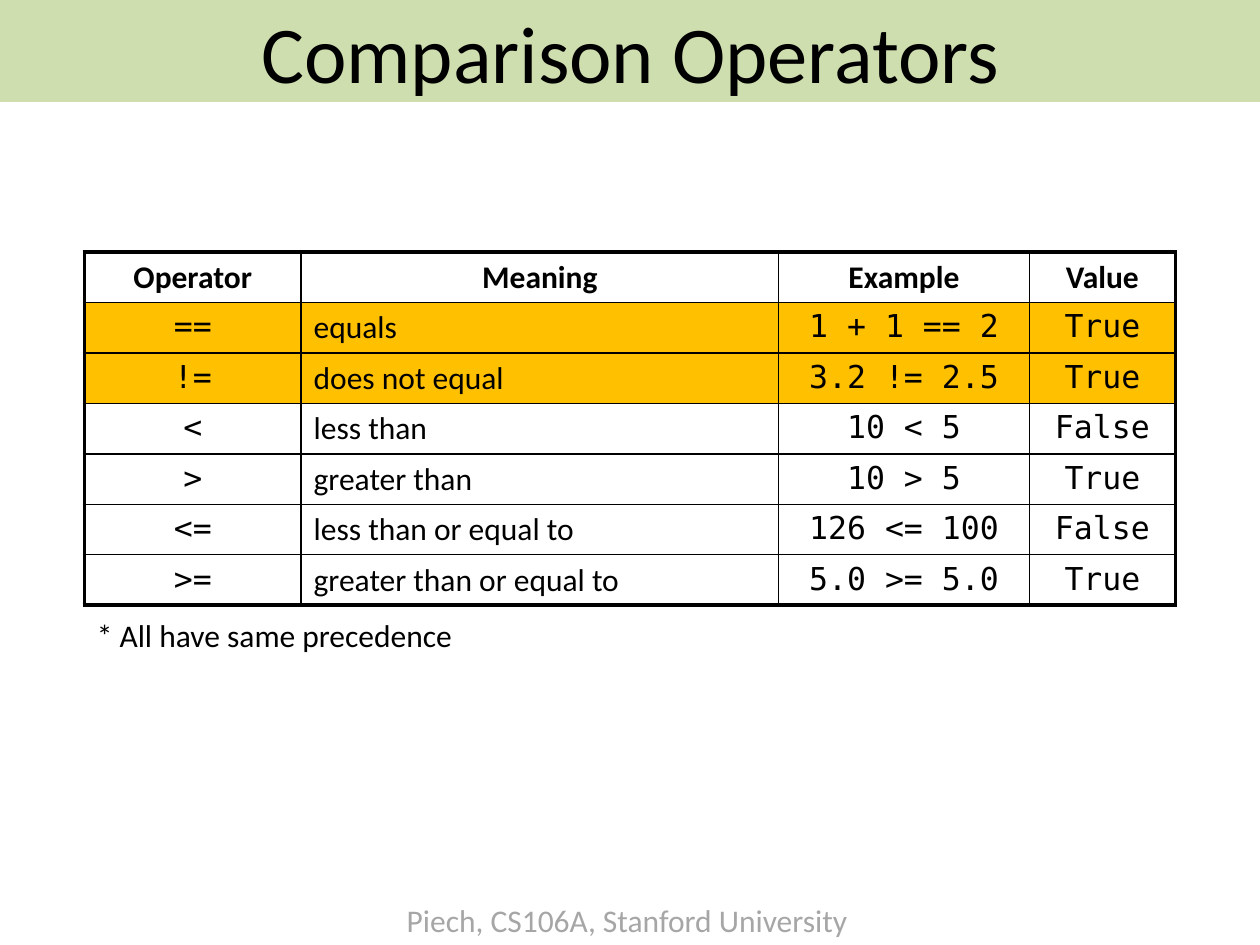
"""Build the slide that lists the comparison operators with examples."""
from dataclasses import astuple, dataclass

import pptx
import pptx.dml.color
import pptx.enum.text
import pptx.oxml
import pptx.oxml.ns
import pptx.slide
import pptx.table
import pptx.text.text
import pptx.util
from pptx.dml.color import RGBColor
from pptx.util import Inches

BLACK = RGBColor(0x00, 0x00, 0x00)
GRAY = RGBColor(0xA6, 0xA6, 0xA6)
AMBER = RGBColor(0xFF, 0xC0, 0x00)
SAGE = RGBColor(0xC3, 0xD6, 0x9B)
BODY_FONT = "Calibri"
CODE_FONT = "DejaVu Sans Mono"
THICK, THIN = 2.25, 1
COLUMN_WIDTHS = (1.72, 3.79, 1.99, 1.16)
ROW_HEIGHT = 0.4
MEANING_COLUMN = 1
CENTER = pptx.enum.text.PP_ALIGN.CENTER
LEFT = pptx.enum.text.PP_ALIGN.LEFT


@dataclass(frozen=True)
class Comparison:
    operator: str
    meaning: str
    example: str
    value: str
    highlighted: bool = False


COMPARISONS = (
    Comparison("==", "equals", "1 + 1 == 2", "True", True),
    Comparison("!=", "does not equal", "3.2 != 2.5", "True", True),
    Comparison("<", "less than", "10 < 5", "False"),
    Comparison(">", "greater than", "10 > 5", "True"),
    Comparison("<=", "less than or equal to", "126 <= 100", "False"),
    Comparison(">=", "greater than or equal to", "5.0 >= 5.0", "True"),
)
HEADER = Comparison("Operator", "Meaning", "Example", "Value")


def add_run(paragraph: pptx.text.text._Paragraph, text: str, size: float = 18,
            font: str = BODY_FONT, color: RGBColor = BLACK, bold: bool = False) -> None:
    run = paragraph.add_run()
    run.text = text
    run.font.name = font
    run.font.size = pptx.util.Pt(size)
    run.font.bold = bold
    run.font.color.rgb = color


def add_title(slide: pptx.slide.Slide, text: str) -> None:
    title = slide.shapes.title
    title.left, title.top = Inches(0), Inches(0)
    title.width, title.height = Inches(10), Inches(0.81)
    title.fill.solid()
    title.fill.fore_color.rgb = SAGE
    color = title.fill._xPr.find(".//" + pptx.oxml.ns.qn("a:srgbClr"))
    color.append(pptx.oxml.parse_xml(
        f'<a:alpha {pptx.oxml.ns.nsdecls("a")} val="80000"/>'))
    frame = title.text_frame
    frame.auto_size = pptx.enum.text.MSO_AUTO_SIZE.NONE
    frame.vertical_anchor = pptx.enum.text.MSO_ANCHOR.MIDDLE
    frame.paragraphs[0].alignment = CENTER
    add_run(frame.paragraphs[0], text, size=46)


def add_label(slide: pptx.slide.Slide, text: str, left: float, top: float,
              width: float, color: RGBColor) -> None:
    label = slide.shapes.add_textbox(Inches(left), Inches(top), Inches(width), Inches(0.4))
    label.text_frame.word_wrap = False
    label.text_frame.auto_size = pptx.enum.text.MSO_AUTO_SIZE.SHAPE_TO_FIT_TEXT
    add_run(label.text_frame.paragraphs[0], text, color=color)


def set_borders(cell: pptx.table._Cell, row: int, column: int) -> None:
    outer_sides = {
        "lnL": column == 0,
        "lnR": column == len(COLUMN_WIDTHS) - 1,
        "lnT": row == 0,
        "lnB": row == len(COMPARISONS),
    }
    properties = cell._tc.get_or_add_tcPr()
    for side, is_outer in outer_sides.items():
        width = pptx.util.Pt(THICK if is_outer else THIN)
        properties.append(pptx.oxml.parse_xml(
            f'<a:{side} {pptx.oxml.ns.nsdecls("a")} w="{int(width)}">'
            f'<a:solidFill><a:srgbClr val="{BLACK}"/></a:solidFill></a:{side}>'))


def add_comparison_table(slide: pptx.slide.Slide) -> None:
    rows = (HEADER, *COMPARISONS)
    table = slide.shapes.add_table(
        len(rows), len(COLUMN_WIDTHS), Inches(0.67), Inches(2),
        Inches(sum(COLUMN_WIDTHS)), Inches(ROW_HEIGHT * len(rows))).table
    table.horz_banding = False
    for column, width in zip(table.columns, COLUMN_WIDTHS):
        column.width = Inches(width)
    for row_index, comparison in enumerate(rows):
        table.rows[row_index].height = Inches(ROW_HEIGHT)
        is_header = row_index == 0
        for column_index, text in enumerate(astuple(comparison)[:len(COLUMN_WIDTHS)]):
            cell = table.cell(row_index, column_index)
            set_borders(cell, row_index, column_index)
            if comparison.highlighted:
                cell.fill.solid()
                cell.fill.fore_color.rgb = AMBER
            else:
                cell.fill.background()
            is_meaning = column_index == MEANING_COLUMN
            paragraph = cell.text_frame.paragraphs[0]
            paragraph.alignment = LEFT if is_meaning and not is_header else CENTER
            add_run(paragraph, text, bold=is_header,
                    font=BODY_FONT if is_header or is_meaning else CODE_FONT)


def main() -> None:
    presentation = pptx.Presentation()
    presentation.slide_width, presentation.slide_height = Inches(10), Inches(7.5)
    slide = presentation.slides.add_slide(presentation.slide_layouts.get_by_name("Title Only"))
    add_title(slide, "Comparison Operators")
    add_label(slide, "Piech, CS106A, Stanford University", 3.13, 7.1, 3.74, GRAY)
    add_comparison_table(slide)
    add_label(slide, "* All have same precedence", 0.67, 4.84, 3.06, BLACK)
    presentation.save("out.pptx")


if __name__ == "__main__":
    main()
